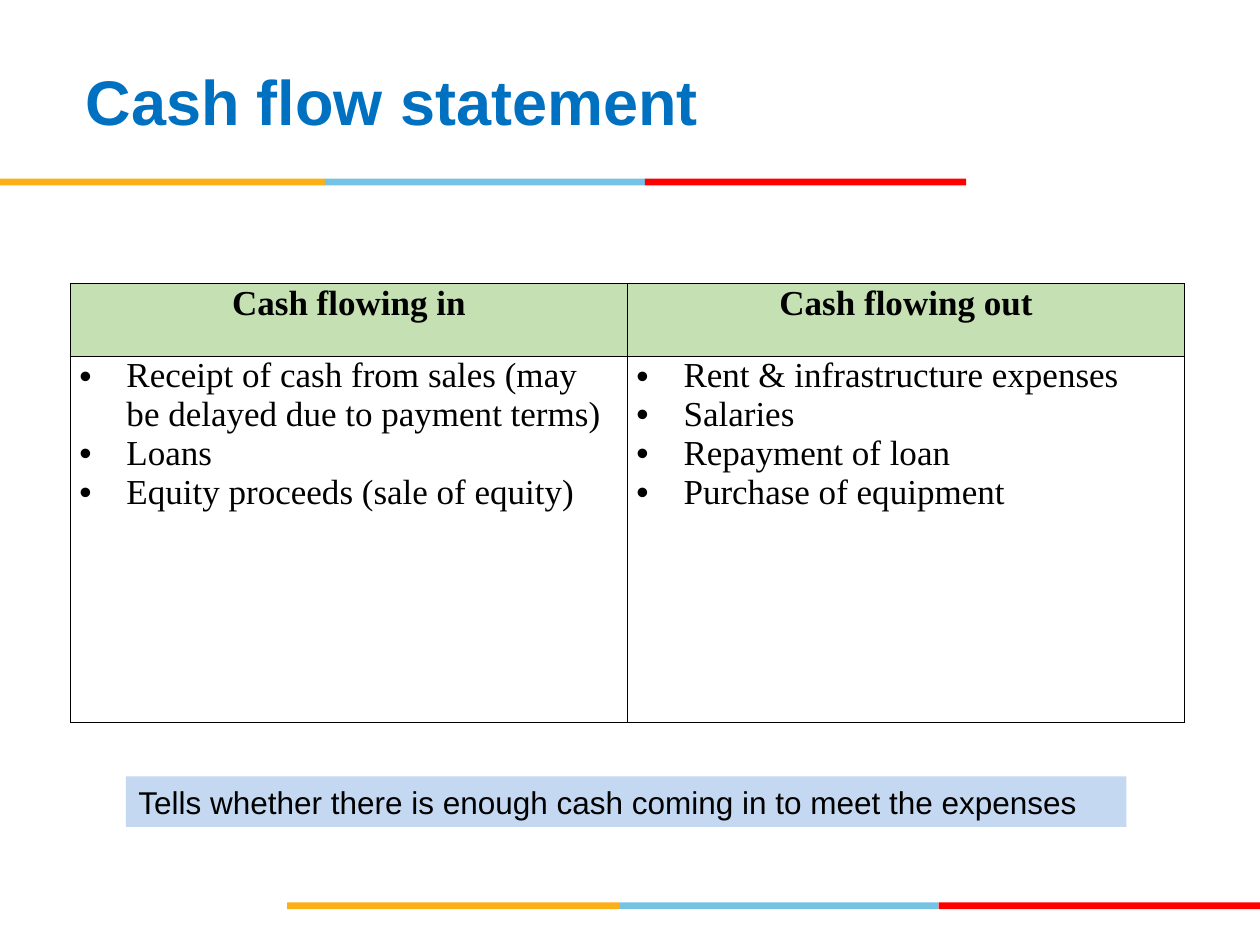
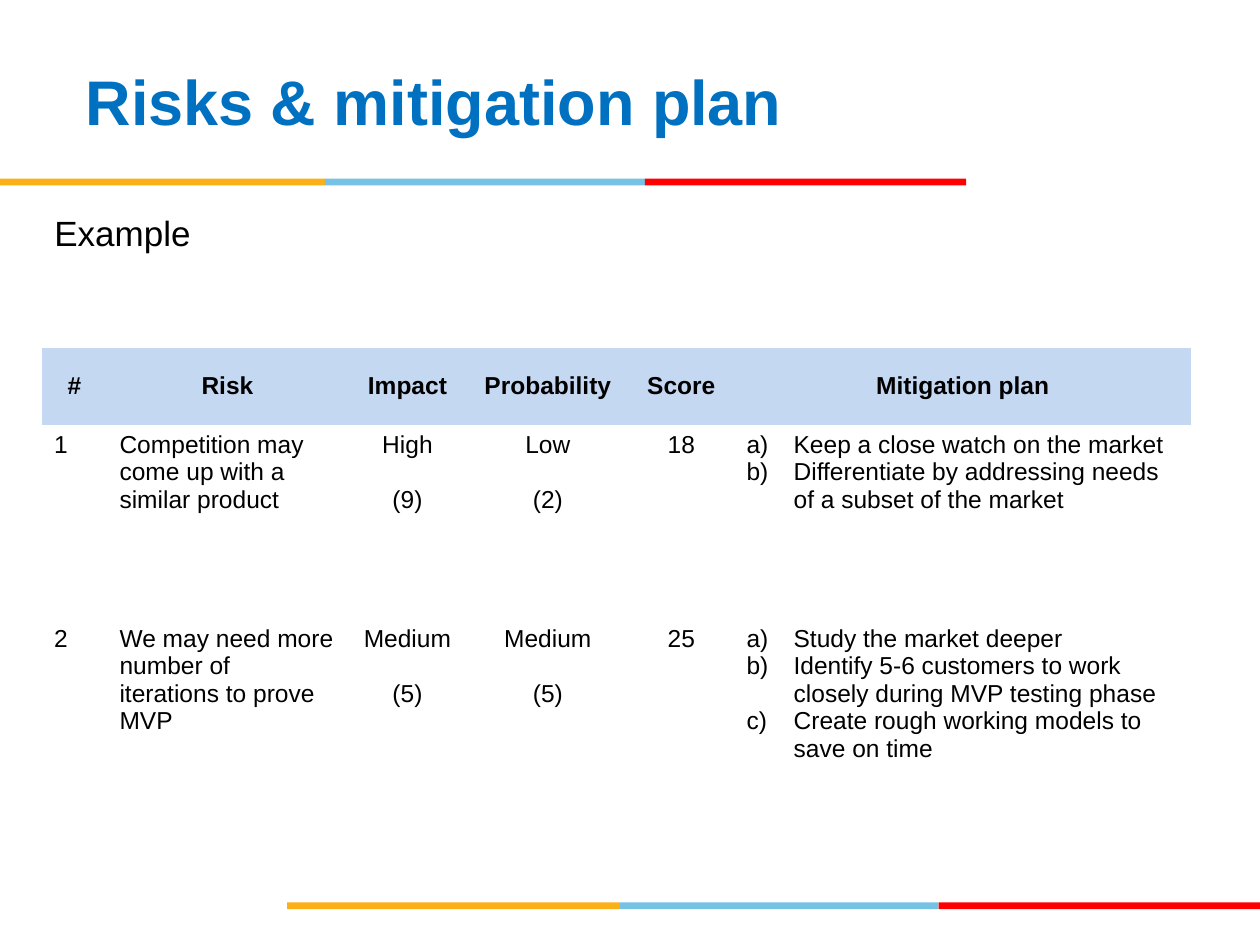
"""Build two business plan slides: a cash flow statement and a risk table."""
import dataclasses
import itertools

import lxml.etree
import pptx
import pptx.dml.color
import pptx.enum.shapes
import pptx.enum.text
import pptx.oxml.ns
import pptx.util

Cm = pptx.util.Cm
Pt = pptx.util.Pt
ALIGN = pptx.enum.text.PP_ALIGN
ANCHOR = pptx.enum.text.MSO_ANCHOR
qn = pptx.oxml.ns.qn


@dataclasses.dataclass(frozen=True)
class Theme:
    title: str = "0070C0"
    text: str = "000000"
    orange: str = "FCB017"
    sky: str = "76C2E5"
    red: str = "FF0000"
    pale_blue: str = "C5D8F1"
    pale_green: str = "C5E0B3"
    sans: str = "Arial"
    serif: str = "Times New Roman"
    title_size: int = 36
    lead_size: int = 20
    note_size: int = 18
    small_size: int = 14


THEME = Theme()
NO_GRID_STYLE = "{2D5ABB26-0587-4C30-8999-92F81FD0307C}"
TITLE_BOX = (0.84, 0.43, 17.58, 3.18)
EXAMPLE_BOX = (0.84, 4.14, 22.86, 1.7)
NOTE_BOX = (2.54, 15.65, 20.17, 1.02)
BAND_HEIGHT = 0.14
BANDS = [
    {"top": 3.6, "edges": (0, 6.55, 13, 19.48)},
    {"top": 18.19, "edges": (5.79, 12.5, 18.92, 25.4)},
]
LIST_INDENT = 0.95
MARKERS = {
    "dots": ("a:buChar", {"char": "•"}),
    "letters": ("a:buAutoNum", {"type": "alphaLcParenR"}),
    "none": ("a:buNone", {}),
}

CASH_NOTE = "Tells whether there is enough cash coming in to meet the expenses"
CASH_TABLE = {
    "place": (1.42, 5.72),
    "columns": (11.23, 11.23),
    "rows": (1.47, 7.37),
    "margins": (0.18, 0),
    "font": THEME.serif,
    "size": THEME.lead_size,
    "header_fill": THEME.pale_green,
    "header_anchor": ANCHOR.TOP,
    "grid": True,
    "kinds": ("dots", "dots"),
    "header": ("Cash flowing in", "Cash flowing out"),
    "body": [
        (
            (
                "Receipt of cash from sales (may be delayed due to payment terms)",
                "Loans",
                "Equity proceeds (sale of equity)",
            ),
            (
                "Rent & infrastructure expenses",
                "Salaries",
                "Repayment of loan",
                "Purchase of equipment",
            ),
        ),
    ],
}
RISK_TABLE = {
    "place": (0.84, 7.02),
    "columns": (1.32, 4.85, 2.41, 3.25, 2.13, 9.22),
    "rows": (1.54, 3.91, 4.8),
    "margins": (0.25, 0.13),
    "font": THEME.sans,
    "size": THEME.small_size,
    "header_fill": THEME.pale_blue,
    "header_anchor": ANCHOR.MIDDLE,
    "grid": False,
    "kinds": ("left", "left", "center", "center", "center", "letters"),
    "header": ("#", "Risk", "Impact", "Probability", "Score", "Mitigation plan"),
    "body": [
        (
            ("1",),
            ("Competition may come up with a similar product",),
            ("High", "(9)"),
            ("Low", "(2)"),
            ("18",),
            (
                "Keep a close watch on the market",
                "Differentiate by addressing needs of a subset of the market",
            ),
        ),
        (
            ("2",),
            ("We may need more number of iterations to prove MVP",),
            ("Medium", "(5)"),
            ("Medium", "(5)"),
            ("25",),
            (
                "Study the market deeper",
                "Identify 5-6 customers to work closely during MVP testing phase",
                "Create rough working models to save on time",
            ),
        ),
    ],
}


def rgb(value):
    return pptx.dml.color.RGBColor.from_string(value)


def lengths(values):
    return [Cm(value) for value in values]


def set_fill(target, color):
    target.fill.solid()
    target.fill.fore_color.rgb = rgb(color)


def add_text(paragraph, text, font, size, color=THEME.text, bold=False):
    run = paragraph.add_run()
    run.text = text
    run.font.name = font
    run.font.size = Pt(size)
    run.font.color.rgb = rgb(color)
    run.font.bold = bold


def set_marker(paragraph, kind, left=0.0, first=0.0):
    properties = paragraph._p.get_or_add_pPr()
    properties.set("marL", str(Cm(left)))
    properties.set("indent", str(Cm(first)))
    tag, attributes = MARKERS[kind]
    if kind == "dots":
        lxml.etree.SubElement(properties, qn("a:buFont"), typeface=THEME.sans)
    lxml.etree.SubElement(properties, qn(tag), attributes)


def add_rectangle(slide, box, color):
    kind = pptx.enum.shapes.MSO_SHAPE.RECTANGLE
    shape = slide.shapes.add_shape(kind, *lengths(box))
    shape.shadow.inherit = False
    shape.line.fill.background()
    set_fill(shape, color)
    return shape


def add_bands_to_master(presentation, slide):
    colors = (THEME.orange, THEME.sky, THEME.red)
    numbers = itertools.count(101)
    for band in BANDS:
        for (left, right), color in zip(itertools.pairwise(band["edges"]), colors):
            box = (left, band["top"], right - left, BAND_HEIGHT)
            shape = add_rectangle(slide, box, color)
            identity = next(shape.element.iter(qn("p:cNvPr")))
            identity.set("id", str(next(numbers)))
            presentation.slide_master.shapes.element.append(shape.element)


def place(shape, box):
    shape.left, shape.top, shape.width, shape.height = lengths(box)
    shape.text_frame.word_wrap = True
    shape.text_frame.auto_size = pptx.enum.text.MSO_AUTO_SIZE.NONE


def add_title(slide, text):
    title = slide.shapes.title
    place(title, TITLE_BOX)
    title.text_frame.vertical_anchor = ANCHOR.MIDDLE
    paragraph = title.text_frame.paragraphs[0]
    paragraph.alignment = ALIGN.LEFT
    set_marker(paragraph, "none", 1.27, -0.64)
    add_text(paragraph, text, THEME.sans, THEME.title_size, THEME.title, True)


def add_cell_borders(cell):
    properties = cell._tc.get_or_add_tcPr()
    for side in ("a:lnL", "a:lnR", "a:lnT", "a:lnB"):
        line = lxml.etree.SubElement(properties, qn(side), w=str(Pt(1)))
        fill = lxml.etree.SubElement(line, qn("a:solidFill"))
        lxml.etree.SubElement(fill, qn("a:srgbClr"), val=THEME.text)


def fill_cell(cell, items, kind, content, is_header):
    side, edge = lengths(content["margins"])
    cell.margin_left = cell.margin_right = side
    cell.margin_top = cell.margin_bottom = edge
    cell.vertical_anchor = content["header_anchor"] if is_header else ANCHOR.TOP
    if content["grid"]:
        add_cell_borders(cell)
    if is_header:
        set_fill(cell, content["header_fill"])
    else:
        cell.fill.background()
    for index, item in enumerate(items):
        frame = cell.text_frame
        paragraph = frame.add_paragraph() if index else frame.paragraphs[0]
        if kind == "center":
            paragraph.alignment = ALIGN.CENTER
            paragraph.space_before = Pt(16 if index else 0)
        elif kind in MARKERS:
            set_marker(paragraph, kind, LIST_INDENT, -LIST_INDENT)
        add_text(paragraph, item, content["font"], content["size"], bold=is_header)


def add_table(slide, content):
    columns, rows = content["columns"], content["rows"]
    box = (*content["place"], sum(columns), sum(rows))
    frame = slide.shapes.add_table(len(rows), len(columns), *lengths(box))
    next(frame.element.iter(qn("a:tableStyleId"))).text = NO_GRID_STYLE
    table = frame.table
    table.horz_banding = False
    for column, width in zip(table.columns, lengths(columns)):
        column.width = width
    for row, height in zip(table.rows, lengths(rows)):
        row.height = height
    for index, text in enumerate(content["header"]):
        fill_cell(table.cell(0, index), [text], "center", content, True)
    for row_index, row in enumerate(content["body"], start=1):
        for index, (items, kind) in enumerate(zip(row, content["kinds"])):
            fill_cell(table.cell(row_index, index), items, kind, content, False)


def add_note(slide, text):
    note = add_rectangle(slide, NOTE_BOX, THEME.pale_blue)
    note.text_frame.word_wrap = True
    paragraph = note.text_frame.paragraphs[0]
    paragraph.alignment = ALIGN.LEFT
    add_text(paragraph, text, THEME.sans, THEME.note_size)


def add_lead(slide, text):
    body = slide.placeholders[1]
    place(body, EXAMPLE_BOX)
    paragraph = body.text_frame.paragraphs[0]
    paragraph.space_before = Pt(4)
    set_marker(paragraph, "none")
    add_text(paragraph, text, THEME.sans, THEME.lead_size)


presentation = pptx.Presentation()
presentation.slide_width, presentation.slide_height = lengths((25.4, 19.05))
layouts = presentation.slide_layouts

cash_slide = presentation.slides.add_slide(layouts.get_by_name("Title Only"))
add_bands_to_master(presentation, cash_slide)
add_title(cash_slide, "Cash flow statement")
add_table(cash_slide, CASH_TABLE)
add_note(cash_slide, CASH_NOTE)

risk_slide = presentation.slides.add_slide(layouts.get_by_name("Title and Content"))
add_title(risk_slide, "Risks & mitigation plan")
add_lead(risk_slide, "Example")
add_table(risk_slide, RISK_TABLE)

presentation.save("out.pptx")
